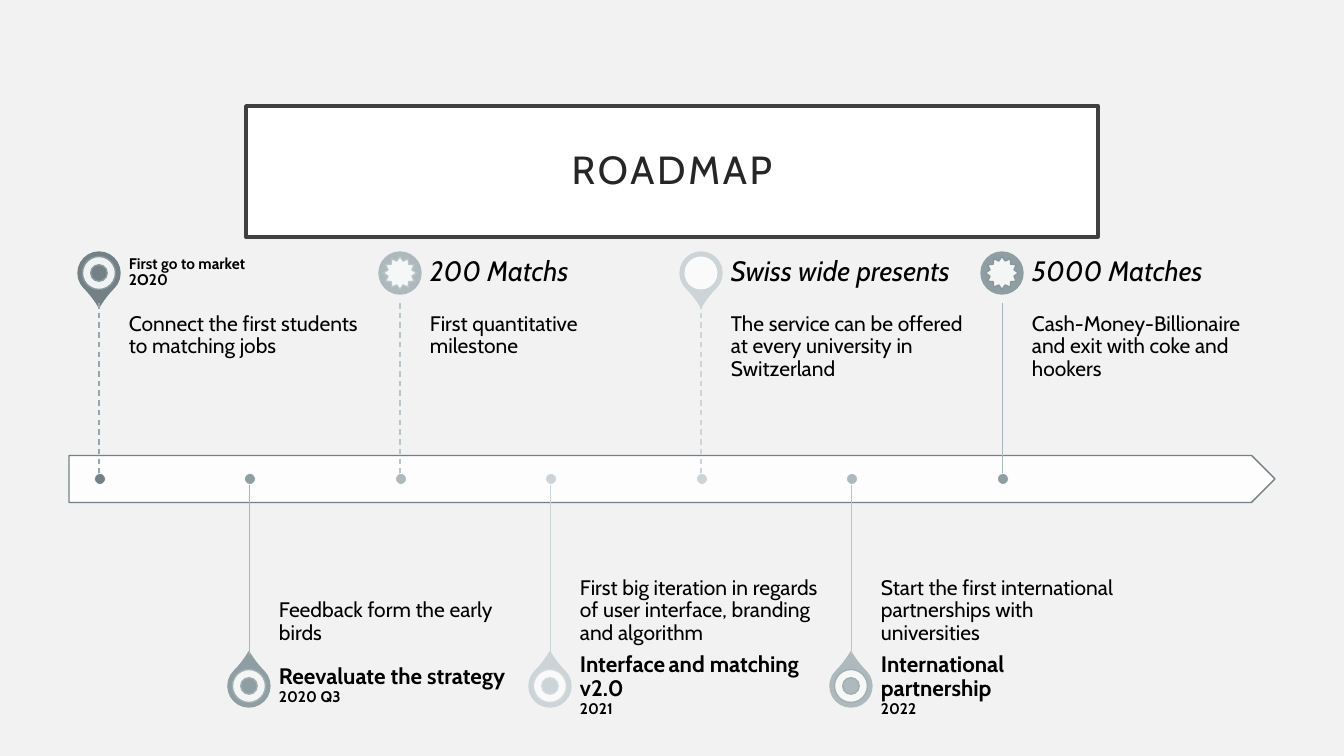
from lxml import etree
from pptx import Presentation
from pptx import util as u
from pptx.dml.color import RGBColor
from pptx.enum import dml, shapes, text
from pptx.oxml.ns import qn

PX = 9072  # EMU in one px

THEME = {
    "font": "Cabin",
    "background": "F2F2F2", "white": "FFFFFF", "black": "000000",
    "title": "262626", "frame": "404040",
    "slate": "738186", "steel": "8F9EA2", "mist": "ADB9BD", "pale": "CCD4D7",
    "title_size": 28, "goal_size": 20, "head_size": 16, "body_size": 15, "date_size": 11,
}
KIND = shapes.MSO_SHAPE
ANCHOR = text.MSO_ANCHOR


def write(frame, runs, color=THEME["black"], anchor=ANCHOR.TOP, insets=(0, 0, 0, 0),
          align=text.PP_ALIGN.LEFT, bold=False, italic=False, spacing=0):
    """Fill a frame with (words, size) runs; a newline becomes a line break."""
    frame.word_wrap = True
    frame.auto_size = text.MSO_AUTO_SIZE.NONE
    frame.vertical_anchor = anchor
    (frame.margin_left, frame.margin_top,
     frame.margin_right, frame.margin_bottom) = [inset * PX for inset in insets]
    paragraph = frame.paragraphs[0]
    paragraph.alignment = align
    paragraph.line_spacing = 0.9
    for words, size in runs:
        for index, line in enumerate(words.split("\n")):
            if index:
                paragraph.add_line_break()
                etree.SubElement(paragraph._p[-1], qn("a:rPr"), sz=str(size * 100))
            if not line:
                continue
            run = paragraph.add_run()
            run.text = line
            run.font.name = THEME["font"]
            run.font.size = u.Pt(size)
            run.font.bold, run.font.italic = bold, italic
            run.font.color.rgb = RGBColor.from_string(color)
            if spacing:
                run._r.get_or_add_rPr().set("spc", str(spacing * 100))


def draw(kind, center, size, fill, line=None, weight=1, alpha=100, turn=0):
    """Add a preset shape around its center."""
    (x, y), (width, height) = center, size
    shape = slide.shapes.add_shape(kind, (2 * x - width) * PX // 2, (2 * y - height) * PX // 2,
                                   width * PX, height * PX)
    shape.shadow.inherit = False
    shape.rotation = turn
    shape.fill.solid()
    shape.fill.fore_color.rgb = RGBColor.from_string(fill)
    if alpha < 100:
        tint = shape._element.spPr.find(qn("a:solidFill"))[0]
        etree.SubElement(tint, qn("a:alpha"), val=str(alpha * 1000))
    if line:
        shape.line.color.rgb = RGBColor.from_string(line)
        shape.line.width = u.Pt(weight)
    else:
        shape.line.fill.background()
    return shape


deck = Presentation()
deck.slide_width, deck.slide_height = 1344 * PX, 756 * PX
slide = deck.slides.add_slide(deck.slide_layouts[5])
slide.background.fill.solid()
slide.background.fill.fore_color.rgb = RGBColor.from_string(THEME["background"])

title = slide.shapes.title
title.left, title.top, title.width, title.height = [n * PX for n in (246, 106, 852, 131)]
title.fill.solid()
title.fill.fore_color.rgb = RGBColor.from_string(THEME["white"])
title.line.color.rgb = RGBColor.from_string(THEME["frame"])
title.line.width = u.Pt(2.5)
write(title.text_frame, [("ROADMAP", THEME["title_size"])], color=THEME["title"],
      anchor=ANCHOR.MIDDLE, insets=(20, 20, 20, 20), align=text.PP_ALIGN.CENTER, spacing=2)

AXIS = 479
draw(KIND.PENTAGON, (672, AXIS), (1206, 47), THEME["white"], THEME["slate"], alpha=90)

# Pin, symbol, color, symbol outline, stem color, dashed stem, heading runs, description
goal, head, date = THEME["goal_size"], THEME["head_size"], THEME["date_size"]
milestones = [
    (KIND.TEAR, KIND.DONUT, "slate", "89989D", "94A7AD", True,
     [("First go to market\n2O20", date)], "Connect the first students to matching jobs"),
    (KIND.TEAR, KIND.DONUT, "steel", "A1AEB2", "A7B6BB", False,
     [("Reevaluate the strategy\n", head), ("2020 Q3", date)], "Feedback form the early birds"),
    (KIND.OVAL, KIND.STAR_12_POINT, "mist", "B9C4C7", "B9C5C9", True,
     [("200 Matchs", goal)], "First quantitative milestone"),
    (KIND.TEAR, KIND.DONUT, "pale", "D2DADC", "CCD4D7", False,
     [("Interface", head), (" ", date), ("and matching v2.0 \n", head), ("2021", date)],
     "First big iteration in regards of user interface, branding and algorithm"),
    (KIND.TEAR, KIND.OVAL, "pale", None, "CCD4D7", True,
     [("Swiss wide presents", goal)],
     "The service can be offered at every university in Switzerland"),
    (KIND.TEAR, KIND.DONUT, "mist", "A1AEB2", "B9C5C9", False,
     [("International partnership\n", head), ("2022", date)],
     "Start the first international partnerships with universities"),
    (KIND.OVAL, KIND.STAR_12_POINT, "steel", "89989D", "A7B6BB", False,
     [("5000 Matches", goal)], "Cash-Money-Billionaire and exit with coke and hookers"),
]

for index, (pin, symbol, shade, outline, stem_color, dashed, heading, description) in enumerate(milestones):
    x = 99 + index * 301 // 2
    above = index % 2 == 0
    pin_y, turn = (273, 135) if above else (686, 315)
    color = THEME[shade]

    marker = draw(pin, (x, pin_y), (42, 42), color, color, turn=turn)
    if pin == KIND.TEAR:
        marker.adjustments[0] = 1.15
    draw(symbol, (x, pin_y), (33, 33), THEME["white"], outline, alpha=90)

    body = slide.shapes.add_textbox((x + 30) * PX, (303 if above else 480) * PX, 243 * PX, 175 * PX)
    write(body.text_frame, [(description, THEME["body_size"])],
          anchor=ANCHOR.TOP if above else ANCHOR.BOTTOM,
          insets=(0, 10, 10, 16) if above else (0, 16, 0, 10))
    label = slide.shapes.add_textbox((x + 30) * PX, (242 if above else 655) * PX, 243 * PX, 61 * PX)
    is_goal = heading[0][1] == goal
    write(label.text_frame, heading, anchor=ANCHOR.MIDDLE, insets=(0, 0, 11, 0),
          bold=not is_goal, italic=is_goal)

    stem = slide.shapes.add_connector(shapes.MSO_CONNECTOR.STRAIGHT, x * PX, (303 if above else 480) * PX,
                                      x * PX, (480 if above else 655) * PX)
    stem.line.color.rgb = RGBColor.from_string(stem_color)
    stem.line.width = u.Pt(1 if dashed else 0.5)
    if dashed:
        stem.line.dash_style = dml.MSO_LINE.DASH
    etree.SubElement(stem._element.spPr, qn("a:effectLst"))

    draw(KIND.OVAL, (x + 1, AXIS), (11, 11), color, THEME["white"], weight=0.5)

deck.save("out.pptx")
